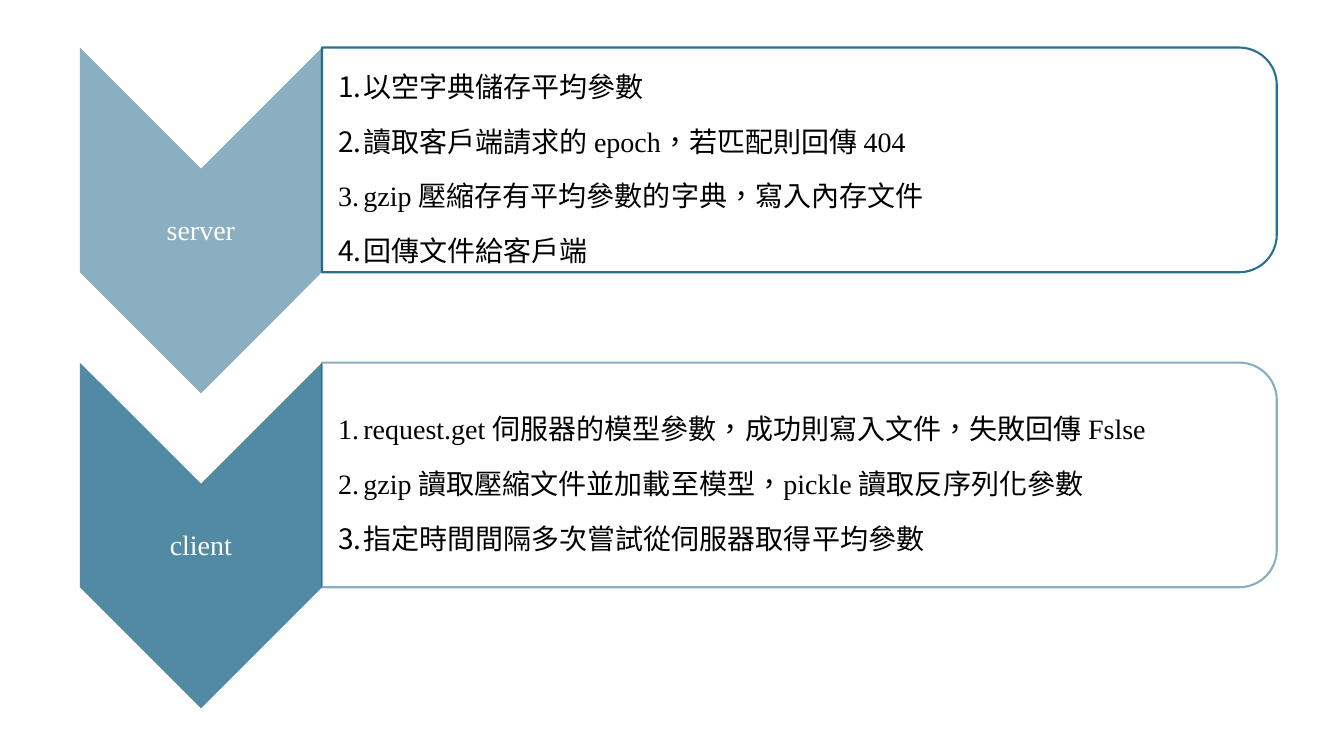
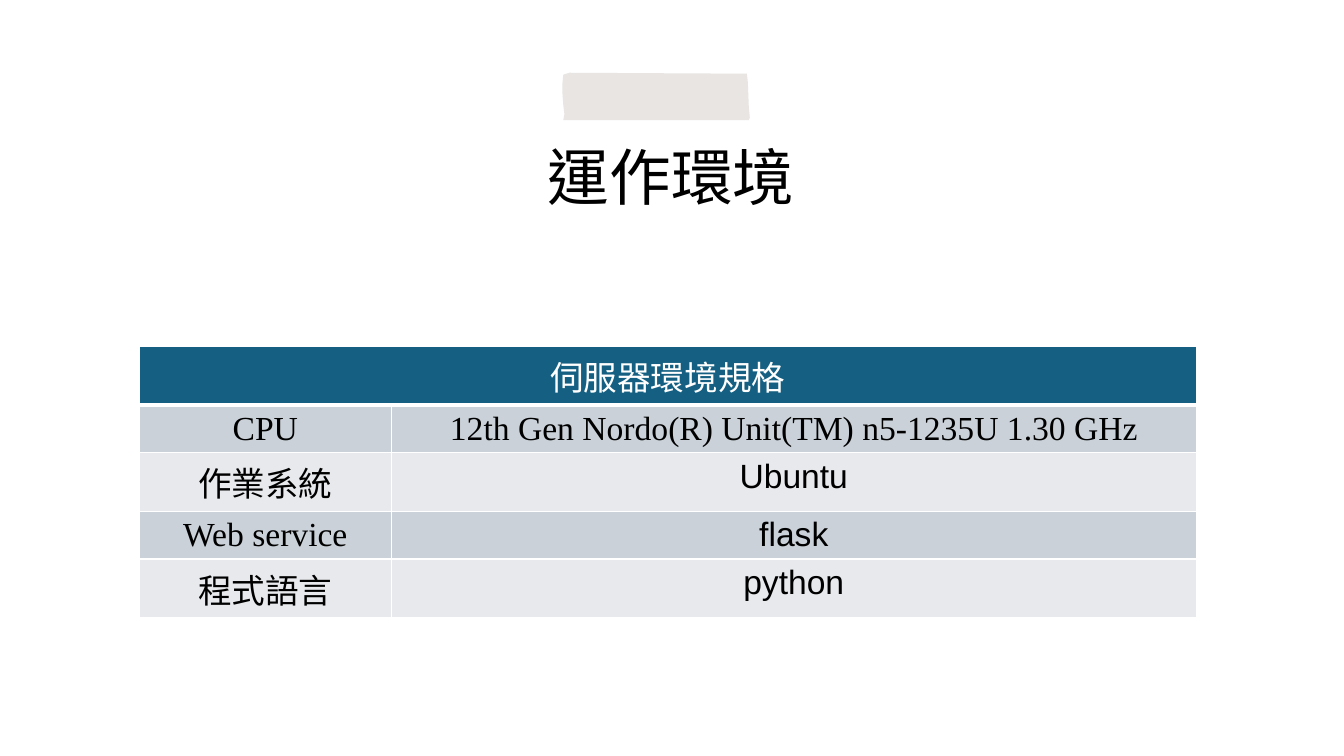
import collections
import dataclasses

import pptx
import pptx.dml.color
import pptx.enum.lang
import pptx.enum.shapes
import pptx.enum.text
import pptx.oxml
import pptx.oxml.ns
import pptx.util

Pt = pptx.util.Pt
Shapes = pptx.enum.shapes.MSO_SHAPE
Align = pptx.enum.text.PP_ALIGN
Anchor = pptx.enum.text.MSO_ANCHOR
Box = collections.namedtuple("Box", "left top width height")
Step = collections.namedtuple("Step", "label color outline_opacity items")


@dataclasses.dataclass(frozen=True)
class Theme:
    white: str = "FFFFFF"
    ink: str = "000000"
    outline: str = "126082"
    pale_blue: str = "8AAFC0"
    mid_blue: str = "538AA3"
    header: str = "156082"
    dark_band: str = "CAD1D8"
    light_band: str = "E7E9EC"
    tape: str = "D9D4D0"
    serif: str = "Times New Roman"
    sans: str = "Arial"
    title_font: str = "Calibri"
    title_size: int = 44
    table_size: int = 24
    body_size: int = 20


THEME = Theme()

STEPS = [
    Step("server", THEME.pale_blue, 90, [
        "以空字典儲存平均參數",
        "讀取客戶端請求的 epoch，若匹配則回傳 404",
        "gzip 壓縮存有平均參數的字典，寫入內存文件",
        "回傳文件給客戶端",
    ]),
    Step("client", THEME.mid_blue, 50, [
        "request.get 伺服器的模型參數，成功則寫入文件，失敗回傳 Fslse",
        "gzip 讀取壓縮文件並加載至模型，pickle 讀取反序列化參數",
        "指定時間間隔多次嘗試從伺服器取得平均參數",
    ]),
]

TABLE_HEADING = "伺服器環境規格"
TABLE_ROWS = [
    ("CPU", "12th Gen Nordo(R) Unit(TM) n5-1235U 1.30 GHz", THEME.serif),
    ("作業系統", "Ubuntu", THEME.sans),
    ("Web service", "flask", THEME.sans),
    ("程式語言", "python", THEME.sans),
]
COLUMN_WIDTHS = (180, 575)
ROW_HEIGHTS = (41, 33, 42, 33, 42)

TAPE_OUTLINE = [
    (1.4, 1.4), (5.8, 0), (132.5, 0.7), (133.2, 6.5), (133.9, 24.5),
    (134.6, 32), (133.9, 33.8), (126.7, 33.8), (1.4, 33.8), (2.2, 29.5),
    (1.4, 23), (0.7, 13.7), (0.7, 8.6),
]


def rgb(color):
    return pptx.dml.color.RGBColor.from_string(color)


def set_values(target, values):
    for name, value in values.items():
        setattr(target, name, value)


def add_xml(parent, markup):
    namespace = pptx.oxml.ns.nsdecls("a")
    tag, rest = markup.split(" ", 1)
    parent.append(pptx.oxml.parse_xml(f"{tag} {namespace} {rest}"))


def set_opacity(parent, percent):
    for color in parent.iter(pptx.oxml.ns.qn("a:srgbClr")):
        add_xml(color, f'<a:alpha val="{percent * 1000}"/>')


def write_paragraph(para, text, size, color=THEME.ink, font=THEME.serif, **layout):
    set_values(para, layout)
    span = para.add_run()
    span.text = text
    set_values(span.font, {
        "name": font, "size": Pt(size), "bold": False,
        "language_id": pptx.enum.lang.MSO_LANGUAGE_ID.TRADITIONAL_CHINESE,
    })
    span.font.color.rgb = rgb(color)


def add_text_frame(page, box, left_inset):
    frame = page.shapes.add_textbox(*map(Pt, box)).text_frame
    set_values(frame, {
        "word_wrap": True, "vertical_anchor": Anchor.MIDDLE,
        "margin_left": Pt(left_inset), "margin_right": Pt(1),
        "margin_top": Pt(1), "margin_bottom": Pt(1),
    })
    return frame


def add_turned_shape(page, kind, box, fill, adjustments):
    """Add a shape turned a quarter clockwise so that it covers box as seen."""
    shift = (box.width - box.height) / 2
    frame = Box(box.left + shift, box.top - shift, box.height, box.width)
    shape = page.shapes.add_shape(kind, *map(Pt, frame))
    shape.rotation = 90
    shape.shadow.inherit = False
    for index, value in enumerate(adjustments):
        shape.adjustments[index] = value
    shape.fill.solid()
    shape.fill.fore_color.rgb = rgb(fill)
    shape.line.fill.background()
    return shape


def add_chevron(page, box, step):
    add_turned_shape(page, Shapes.CHEVRON, box, step.color, [0.5])
    point = box.width / 2
    label_box = Box(box.left, box.top + point, box.width, box.height - 2 * point)
    frame = add_text_frame(page, label_box, 1)
    write_paragraph(frame.paragraphs[0], step.label, THEME.body_size, THEME.white,
                    alignment=Align.CENTER, line_spacing=1.5)


def add_numbered_panel(page, box, step):
    panel = add_turned_shape(page, Shapes.ROUND_2_SAME_RECTANGLE, box,
                             THEME.white, [0.167, 0])
    panel.line.color.rgb = rgb(THEME.outline)
    panel.line.width = Pt(1.5)
    set_opacity(panel.element.spPr.find(pptx.oxml.ns.qn("a:ln")), step.outline_opacity)

    text_box = Box(box.left, box.top + 8, box.width - 8, box.height - 16)
    frame = add_text_frame(page, text_box, 11.5)
    for index, item in enumerate(step.items):
        para = frame.add_paragraph() if index else frame.paragraphs[0]
        set_values(para, {"line_spacing": 1.5, "space_before": Pt(3 if index else 0)})
        properties = para._p.get_or_add_pPr()
        properties.set("marL", str(Pt(18)))
        properties.set("indent", str(-Pt(18)))
        add_xml(properties, f'<a:buClr ><a:srgbClr val="{THEME.ink}"/></a:buClr>')
        add_xml(properties, '<a:buAutoNum type="arabicPeriod"/>')
        write_paragraph(para, item, THEME.body_size)


def add_step(page, box, step):
    chevron_width = 173
    add_chevron(page, Box(box.left, box.top, chevron_width, box.height), step)
    panel_box = Box(box.left + chevron_width, box.top,
                    box.width - chevron_width, box.height - chevron_width / 2)
    add_numbered_panel(page, panel_box, step)


def add_tape(page, box):
    points = [(Pt(box.left + x), Pt(box.top + y)) for x, y in TAPE_OUTLINE]
    builder = page.shapes.build_freeform(*points[0])
    builder.add_line_segments(points[1:], close=True)
    tape = builder.convert_to_shape()
    tape.shadow.inherit = False
    tape.fill.solid()
    tape.fill.fore_color.rgb = rgb(THEME.tape)
    set_opacity(tape.element.spPr, 60)
    tape.line.fill.background()


def place_title(page, box, text):
    title = page.shapes.title
    set_values(title, dict(zip(box._fields, map(Pt, box))))
    set_values(title.text_frame, {
        "word_wrap": True, "vertical_anchor": Anchor.MIDDLE,
        "auto_size": pptx.enum.text.MSO_AUTO_SIZE.NONE,
    })
    write_paragraph(title.text_frame.paragraphs[0], text, THEME.title_size,
                    font=THEME.title_font, alignment=Align.CENTER, line_spacing=0.9)


def format_cell(cell, row, fill):
    widths = {"L": 1, "R": 1, "T": 3 if row == 1 else 1, "B": 1 if row else 3}
    properties = cell._tc.get_or_add_tcPr()
    for side, width in widths.items():
        add_xml(properties, f'<a:ln{side} w="{Pt(width)}"><a:solidFill>'
                f'<a:srgbClr val="{THEME.white}"/></a:solidFill></a:ln{side}>')
    cell.fill.solid()
    cell.fill.fore_color.rgb = rgb(fill)


def add_environment_table(page, box):
    table = page.shapes.add_table(
        len(ROW_HEIGHTS), len(COLUMN_WIDTHS), *map(Pt, box)).table
    for column, width in zip(table.columns, COLUMN_WIDTHS):
        column.width = Pt(width)
    for row, height in zip(table.rows, ROW_HEIGHTS):
        row.height = Pt(height)
    table.cell(0, 0).merge(table.cell(0, 1))

    for row in range(len(ROW_HEIGHTS)):
        band = THEME.dark_band if row % 2 else THEME.light_band
        for column in range(len(COLUMN_WIDTHS)):
            format_cell(table.cell(row, column), row, band if row else THEME.header)

    write_paragraph(table.cell(0, 0).text_frame.paragraphs[0], TABLE_HEADING,
                    THEME.table_size, THEME.white, alignment=Align.CENTER)
    for row, (name, value, value_font) in enumerate(TABLE_ROWS, start=1):
        for column, (text, font) in enumerate([(name, THEME.serif), (value, value_font)]):
            write_paragraph(table.cell(row, column).text_frame.paragraphs[0], text,
                            THEME.table_size, font=font, alignment=Align.CENTER)


def add_process_slide(deck):
    page = deck.slides.add_slide(deck.slide_layouts.get_by_name("Blank"))
    for index, step in enumerate(STEPS):
        add_step(page, Box(57, 34 + index * 225, 855, 247), step)


def add_environment_slide(deck):
    page = deck.slides.add_slide(deck.slide_layouts.get_by_name("Title Only"))
    place_title(page, Box(128, 88, 703, 82), "運作環境")
    add_tape(page, Box(401, 52, 135, 34))
    add_environment_table(
        page, Box(99.5, 247.5, sum(COLUMN_WIDTHS), sum(ROW_HEIGHTS)))


def main():
    deck = pptx.Presentation()
    deck.slide_width, deck.slide_height = Pt(960), Pt(540)
    add_process_slide(deck)
    add_environment_slide(deck)
    deck.save("out.pptx")


if __name__ == "__main__":
    main()
